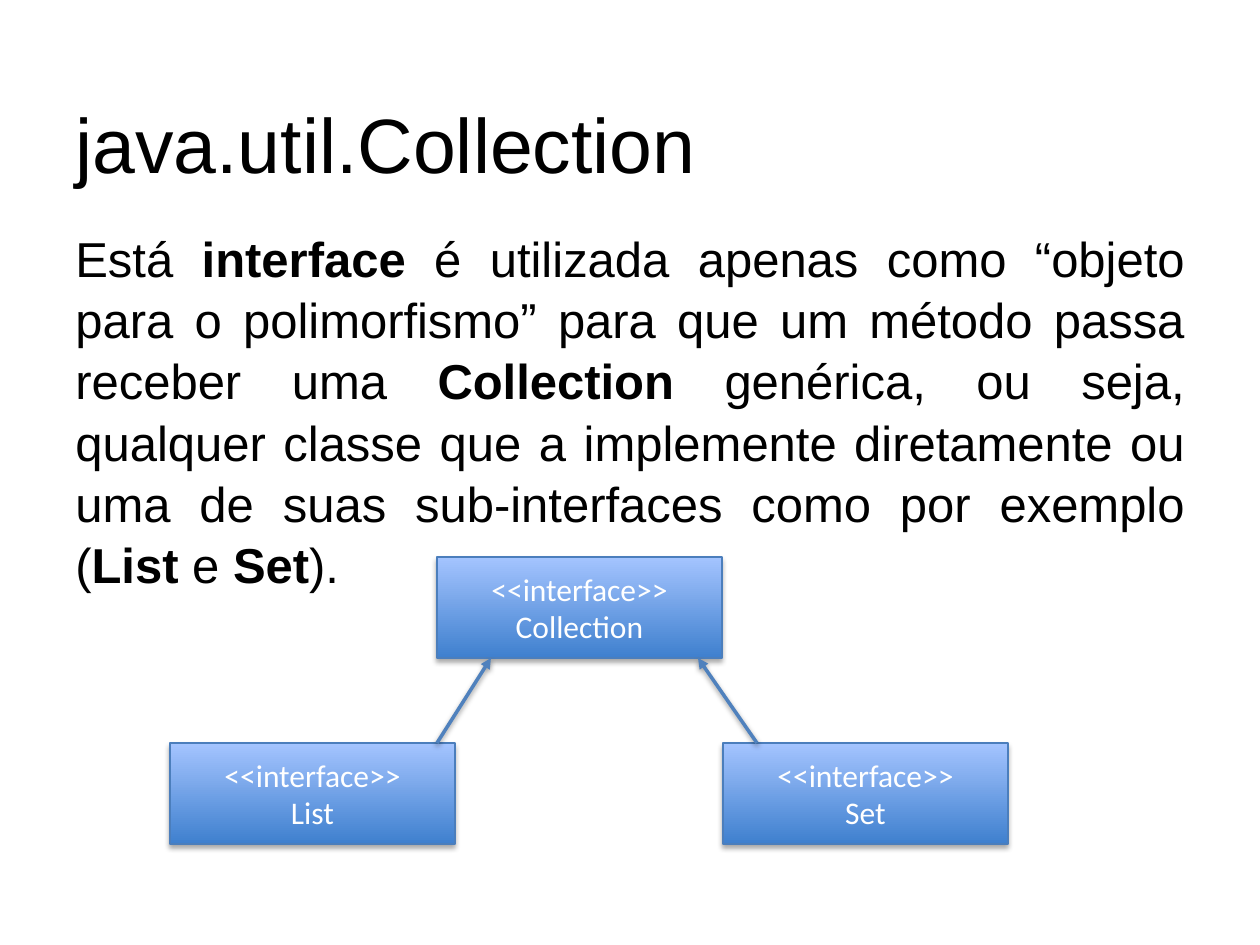
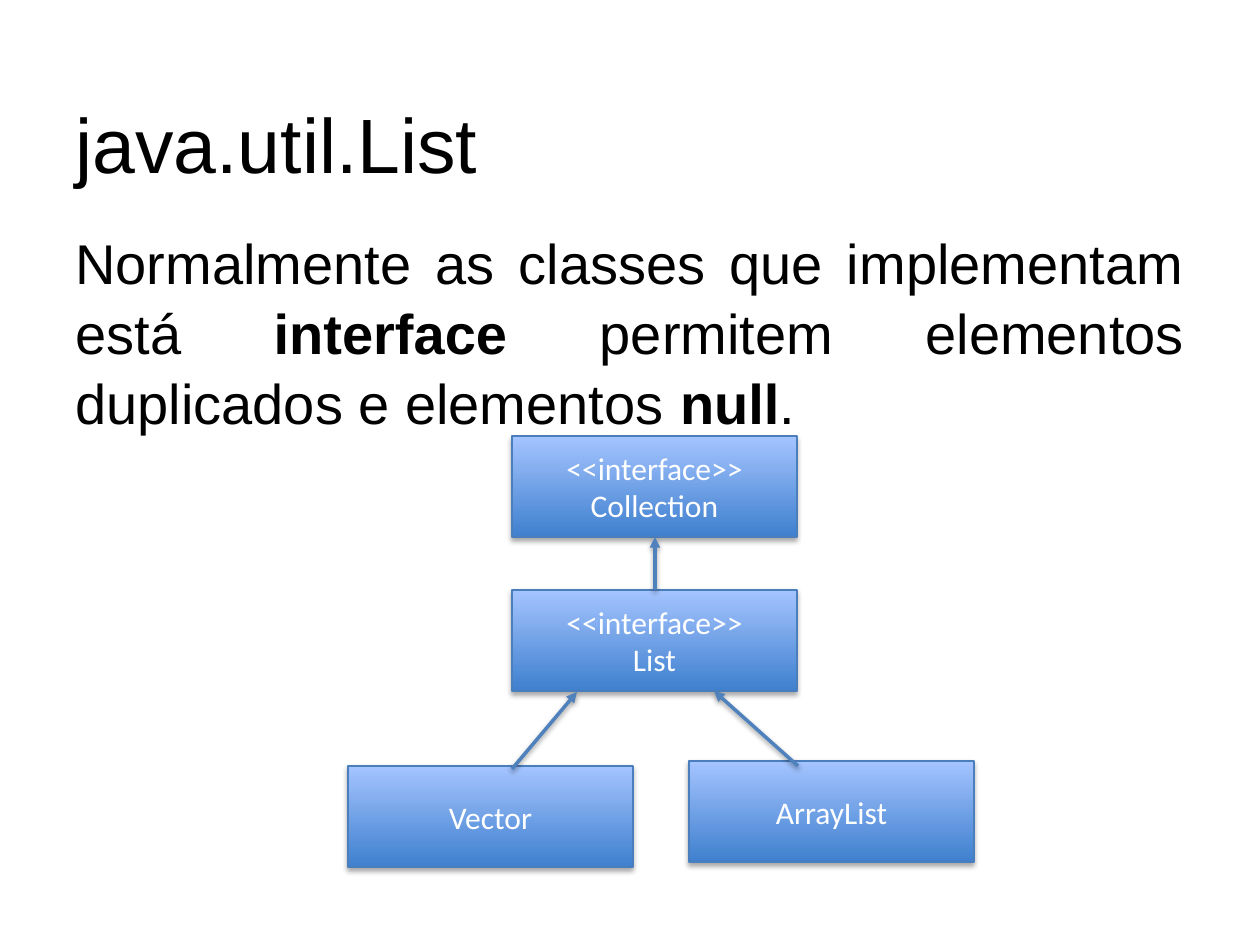
from lxml import etree
from pptx import Presentation
from pptx import util as u
from pptx.dml import color
from pptx.enum import shapes, text
from pptx.oxml import ns

SCALE = 914400 // 126
COLOURS = {"ink": "000000", "paper": "FFFFFF", "dark": "3F80CE", "light": "A4C4FF",
           "edge": "4B7EBC", "arrow": "4F81BD", "shadow": "000000"}
FONTS = {"prose": "Arial", "diagram": "Calibri"}
TITLE = (63, 38, 1134, 157)
BODY = (63, 220, 1134, 624)
NODE = (285, 101)
STEREOTYPE = "<<interface>>"


def rgb(name):
    """Return a palette colour."""
    return color.RGBColor.from_string(COLOURS[name])


def px(*lengths):
    """Turn pixels into EMU."""
    return [u.Emu(round(length * SCALE)) for length in lengths]


def add_span(para, words, font, size, ink, bold=False):
    """Add one run of styled text."""
    span = para.add_run()
    span.text = words
    span.font.name, span.font.size, span.font.bold = font, u.Pt(size), bold
    span.font.color.rgb = rgb(ink)


def add_shadow(shape, opacity, distance):
    """Give a shape or connector a soft shadow below it."""
    effects = etree.SubElement(shape._element.spPr, ns.qn("a:effectLst"))
    outer = etree.SubElement(effects, ns.qn("a:outerShdw"), blurRad=str(u.Pt(3.1)),
                             dist=str(u.Pt(distance)), dir="5400000", rotWithShape="0")
    shade = etree.SubElement(outer, ns.qn("a:srgbClr"), val=COLOURS["shadow"])
    etree.SubElement(shade, ns.qn("a:alpha"), val=str(opacity * 1000))


def add_prose(page, area, spans, size, anchor):
    """Add a text box and return its paragraph; every second span is bold."""
    frame = page.shapes.add_textbox(*px(*area)).text_frame
    frame.word_wrap, frame.vertical_anchor = True, anchor
    para = frame.paragraphs[0]
    for index, words in enumerate(spans):
        add_span(para, words, FONTS["prose"], size, "ink", index % 2 == 1)
    return para


def add_node(page, left, top, *lines):
    """Add a gradient class box with centred lines."""
    box = page.shapes.add_shape(shapes.MSO_SHAPE.RECTANGLE, *px(left, top, *NODE))
    box.fill.gradient()
    box.fill.gradient_angle = 90
    for stop, name in zip(box.fill.gradient_stops, ("dark", "light")):
        stop.color.rgb = rgb(name)
    box.line.color.rgb, box.line.width = rgb("edge"), u.Pt(0.75)
    add_shadow(box, 35, 1.8)
    frame = box.text_frame
    frame.word_wrap, frame.vertical_anchor = True, text.MSO_ANCHOR.MIDDLE
    for index, words in enumerate(lines):
        para = frame.add_paragraph() if index else frame.paragraphs[0]
        para.alignment = text.PP_ALIGN.CENTER
        add_span(para, words, FONTS["diagram"], 18, "paper")


def add_arrow(page, *ends):
    """Add an inheritance arrow that points at its second end."""
    arrow = page.shapes.add_connector(shapes.MSO_CONNECTOR.STRAIGHT, *px(*ends))
    arrow.line.color.rgb, arrow.line.width = rgb("arrow"), u.Pt(2)
    etree.SubElement(arrow.line._get_or_add_ln(), ns.qn("a:tailEnd"), type="triangle")
    add_shadow(arrow, 38, 1.6)


def add_diagram(page, area, nodes, arrows):
    """Place nodes and arrows relative to the diagram area."""
    left, top = area[:2]
    for x, y, *lines in nodes:
        add_node(page, left + x, top + y, *lines)
    for x1, y1, x2, y2 in arrows:
        add_arrow(page, left + x1, top + y1, left + x2, top + y2)


def add_page(deck, title, spans, size, area, nodes, arrows):
    """Add a slide with a title, a justified paragraph and a class diagram."""
    page = deck.slides.add_slide(deck.slide_layouts[6])
    page.background.fill.solid()
    page.background.fill.fore_color.rgb = rgb("paper")
    add_prose(page, TITLE, [title], 44, text.MSO_ANCHOR.BOTTOM)
    para = add_prose(page, BODY, spans, size, text.MSO_ANCHOR.TOP)
    para.alignment = text.PP_ALIGN.JUSTIFY
    para.line_spacing, para.space_after = 1.04, u.Pt(18)
    add_diagram(page, area, nodes, arrows)


deck = Presentation()
deck.slide_width, deck.slide_height = px(1260, 945)
add_page(
    deck, "java.util.Collection",
    ["Está ", "interface",
     " é utilizada apenas como “objeto para o polimorfismo” para que um método passa receber uma ",
     "Collection",
     " genérica, ou seja, qualquer classe que a implemente diretamente ou uma de suas "
     "sub-interfaces como por exemplo (", "List", " e ", "Set", "). "],
    28, (170, 557, 838, 288),
    [(267, 0, STEREOTYPE, "Collection"), (553, 186, STEREOTYPE, "Set"),
     (0, 186, STEREOTYPE, "List")],
    [(267, 186, 321, 101), (587, 186, 528, 101)])
add_page(
    deck, "java.util.List",
    ["Normalmente as classes que implementam está ", "interface",
     " permitem elementos duplicados e elementos ", "null", "."],
    32, (348, 436, 626, 431),
    [(164, 0, STEREOTYPE, "Collection"), (0, 330, "Vector"),
     (164, 154, STEREOTYPE, "List"), (341, 325, "ArrayList")],
    [(307, 154, 307, 101), (450, 330, 366, 255), (164, 333, 229, 256)])
deck.save("out.pptx")
